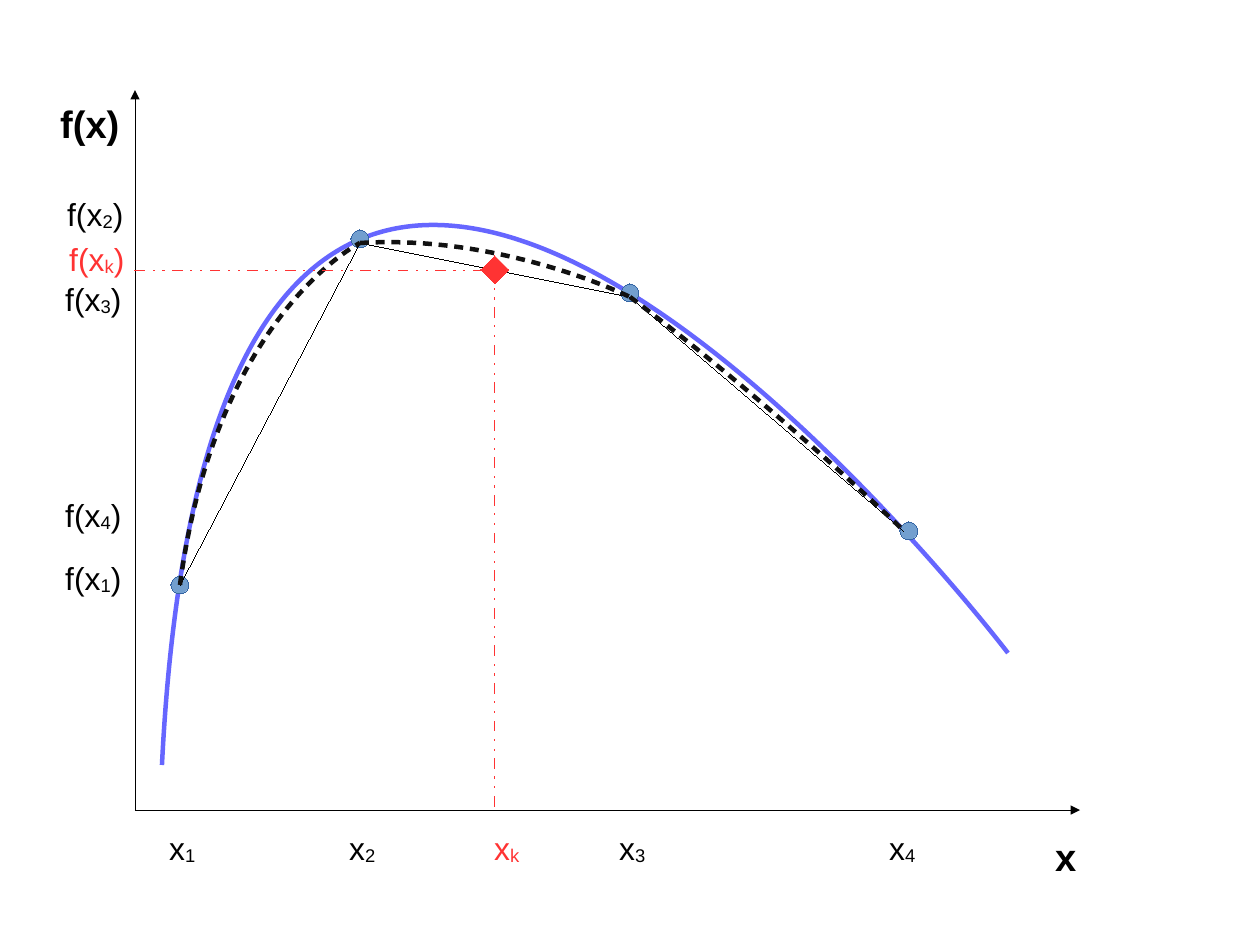
from dataclasses import dataclass

from lxml.etree import SubElement
from pptx import Presentation
from pptx.dml.color import RGBColor as RGB
from pptx.enum.shapes import MSO_CONNECTOR as LINK, MSO_SHAPE as SHAPE
from pptx.enum.text import MSO_AUTO_SIZE as FIT
from pptx.oxml.ns import qn
from pptx.util import Pt

SCALE = 8000  # EMU in one px


@dataclass(frozen=True)
class Theme:
    font: str = "Arial"
    black: str = "000000"
    red: str = "FF3333"
    curve: str = "6666FF"
    dash: str = "111111"
    dot: str = "729FCF"
    rim: str = "3465A4"
    name: int = 24
    label: int = 20
    thin: float = 0
    thick: float = 2.83


# Pairs of dash and gap, as multiples of the line width
SHORT = [(2, 1.5)]
DASH_DOT = [(8, 7), (1, 7), (1, 7)]


class Board:
    def __init__(self, slide, theme):
        self.shapes = slide.shapes
        self.theme = theme

    def stroke(self, shape, color, width, dash=(), arrow=False):
        shape.line.color.rgb = RGB.from_string(color)
        ln = shape.line._get_or_add_ln()
        ln.set("w", str(int(Pt(width))))  # a width of zero must be written out
        if dash:
            group = SubElement(ln, qn("a:custDash"))
            for on, off in dash:
                SubElement(group, qn("a:ds"), d=str(int(on * 100000)), sp=str(int(off * 100000)))
        if arrow:
            SubElement(ln, qn("a:tailEnd"), type="triangle")

    def line(self, start, end, color, dash=(), arrow=False):
        ends = [v * SCALE for v in (*start, *end)]
        link = self.shapes.add_connector(LINK.STRAIGHT, *ends)
        self.stroke(link, color, self.theme.thin, dash, arrow)
        SubElement(link._element.spPr, qn("a:effectLst"))

    def curve(self, start, pull, end, color, dash=()):
        """Cubic arc whose second control point lies on its end."""
        steps = 80
        points = []
        for i in range(steps + 1):
            t = i / steps
            a, b = (1 - t) ** 3, 3 * t * (1 - t) ** 2
            points.append([round(SCALE * (a * s + b * p + (1 - a - b) * e))
                           for s, p, e in zip(start, pull, end)])
        pen = self.shapes.build_freeform(*points[0])
        pen.add_line_segments(points[1:], close=False)
        arc = pen.convert_to_shape()
        self.bend(arc, pull, end)
        arc.shadow.inherit = False
        arc.fill.background()
        self.stroke(arc, color, self.theme.thick, dash)

    def bend(self, arc, pull, end):
        """Put one cubic segment in place of the straight ones that sized the arc."""
        track = next(arc._element.iter(qn("a:path")))
        for step in track.findall(qn("a:lnTo")):
            track.remove(step)
        cubic = SubElement(track, qn("a:cubicBezTo"))
        for x, y in (pull, end, end):
            SubElement(cubic, qn("a:pt"), x=str(x * SCALE - arc.left), y=str(y * SCALE - arc.top))

    def mark(self, kind, center, size, fill, rim):
        x, y = center
        box = [v * SCALE for v in (x - size // 2, y - size // 2, size, size)]
        mark = self.shapes.add_shape(kind, *box)
        mark.shadow.inherit = False
        mark.fill.solid()
        mark.fill.fore_color.rgb = RGB.from_string(fill)
        self.stroke(mark, rim, self.theme.thin)

    def text(self, box, parts, size, color, bold=False):
        """Parts are the base, then the subscript, then the base again."""
        frame = self.shapes.add_textbox(*[v * SCALE for v in box]).text_frame
        frame.word_wrap = False
        frame.auto_size = FIT.SHAPE_TO_FIT_TEXT
        for i, part in enumerate(parts):
            run = frame.paragraphs[0].add_run()
            run.text = part
            font = run.font
            font.name, font.size, font.bold = self.theme.font, Pt(size), bold
            font.color.rgb = RGB.from_string(color)
            if i == 1:
                run._r.get_or_add_rPr().set("baseline", "-8000")

    def tick(self, index, left, color):
        self.text((left, 823, 49, 57), ["x", index], self.theme.label, color)

    def value(self, index, left, top, color):
        self.text((left, top, 80, 57), ["f(x", index, ")"], self.theme.label, color)


def main():
    deck = Presentation()
    deck.slide_width, deck.slide_height = 1260 * SCALE, 945 * SCALE
    theme = Theme()
    board = Board(deck.slides.add_slide(deck.slide_layouts[6]), theme)

    origin = (135, 810)
    for tip in [(135, 90), (1080, 810)]:
        board.line(origin, tip, theme.black, arrow=True)
    board.text((1044, 828, 43, 54), ["x"], theme.name, theme.black, bold=True)
    board.text((49, 95, 83, 54), ["f(x)"], theme.name, theme.black, bold=True)

    board.curve((162, 765), (219, -381), (1008, 653), theme.curve)
    for center in [(180, 585), (360, 239), (630, 293), (909, 531)]:
        board.mark(SHAPE.OVAL, center, 18, theme.dot, theme.rim)

    nodes = [(180, 585), (360, 243), (630, 297), (904, 531)]
    pulls = [(216, 315), (504, 234), (774, 405)]
    for start, end in zip(nodes, nodes[1:]):
        board.line(start, end, theme.black)
    for start, pull, end in zip(nodes, pulls, nodes[1:]):
        board.curve(start, pull, end, theme.dash, SHORT)

    for index, left in zip("1234", [158, 338, 608, 878]):
        board.tick(index, left, theme.black)
    for index, left, top in [("1", 54, 553), ("4", 54, 490), ("2", 56, 189), ("3", 54, 274)]:
        board.value(index, left, top, theme.black)

    guess = (495, 270)
    board.tick("k", 483, theme.red)
    board.mark(SHAPE.DIAMOND, guess, 28, theme.red, theme.red)
    board.line(guess, (guess[0], origin[1]), theme.red, DASH_DOT)
    board.line((origin[0], guess[1]), guess, theme.red, DASH_DOT)
    board.value("k", 58, 234, theme.red)

    deck.save("out.pptx")


if __name__ == "__main__":
    main()
